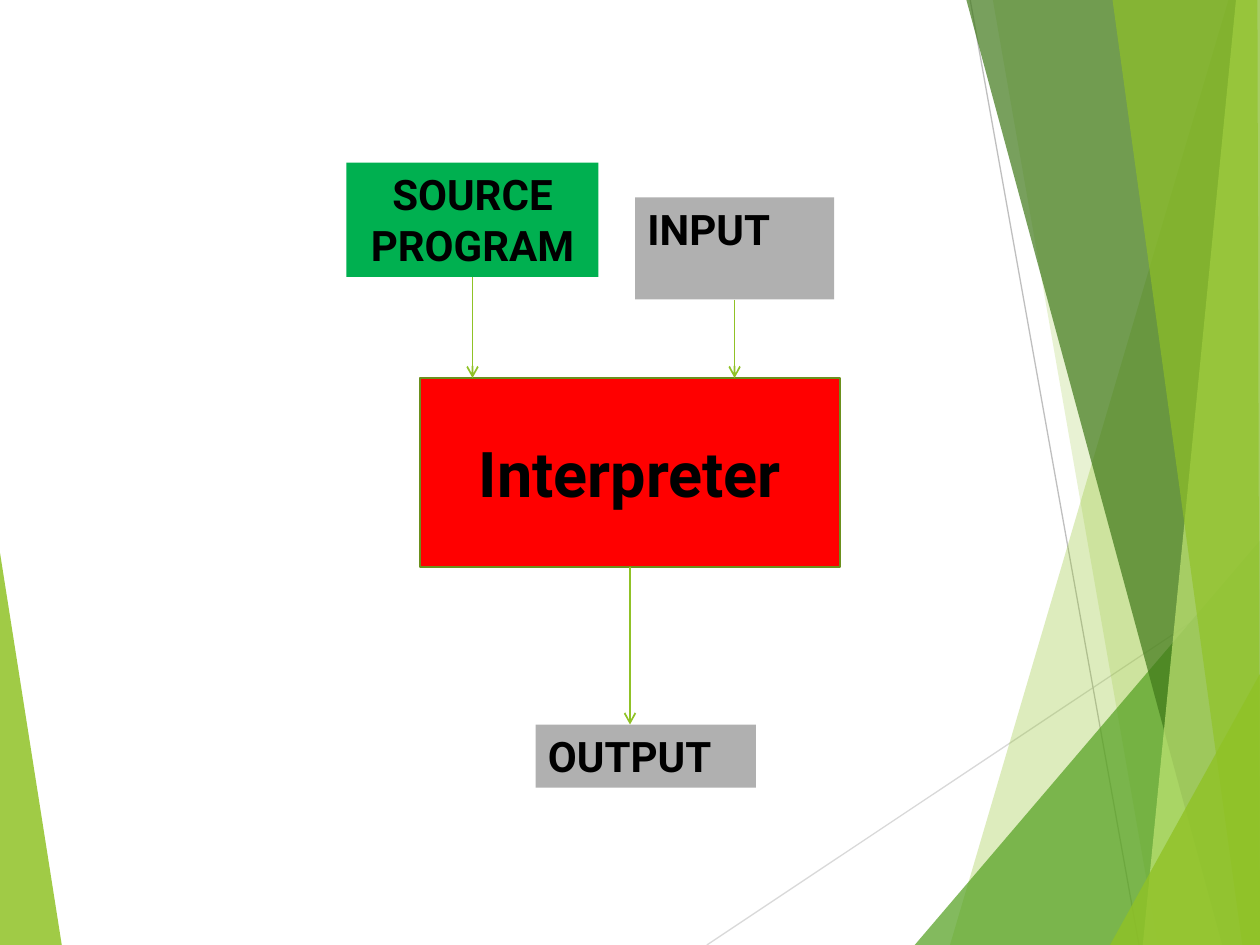
from lxml.etree import SubElement
from pptx import Presentation
from pptx.dml.color import RGBColor
from pptx.enum.shapes import MSO_CONNECTOR, MSO_SHAPE
from pptx.enum.text import MSO_ANCHOR, PP_ALIGN
from pptx.oxml.ns import qn
from pptx.util import Inches, Pt

HUES = {
    "lime": "90C226", "leaf": "54A021", "pine": "3F7819", "pale": "C0E474",
    "red": "FF0000", "rim": "6B901C", "green": "00B050", "gray": "B0B0B0",
    "ink": "000000", "mist": "D9D9D9", "ash": "BFBFBF",
}

deck = Presentation()
deck.slide_width, deck.slide_height = Inches(10), Inches(7.5)
slide = deck.slides.add_slide(deck.slide_layouts[6])
shapes = slide.shapes
ACROSS, DOWN = deck.slide_width / 100, deck.slide_height / 100


def spot(x, y):
    return round(x * ACROSS), round(y * DOWN)


def draw(start, end, hue, width):
    line = shapes.add_connector(MSO_CONNECTOR.STRAIGHT, *spot(*start), *spot(*end))
    line.line.color.rgb = RGBColor.from_string(HUES[hue])
    line.line.width = Pt(width)
    SubElement(line._element.spPr, qn("a:effectLst"))
    return line


# each facet: hue, opacity in percent, corners in percent of the slide
facets = [
    ("lime", 85, [(0, 58.5), (4.9, 100), (0, 100)]),
    ("lime", 30, [(97.5, 0), (75.4, 100), (100, 100), (100, 0)]),
    ("lime", 20, [(78.8, 0), (91.9, 100), (100, 100), (100, 0)]),
    ("leaf", 72, [(72.6, 100), (100, 57.2), (100, 100)]),
    ("pine", 70, [(76.7, 0), (97, 100), (100, 100), (100, 0)]),
    ("pale", 70, [(98.1, 0), (90.7, 100), (100, 100), (100, 0)]),
    ("lime", 65, [(88.3, 0), (98.6, 100), (100, 100), (99.8, 0)]),
    ("lime", 80, [(88.1, 100), (100, 71.3), (100, 100)]),
]
for place, (hue, share, corners) in enumerate(facets):
    if place == 1:
        draw((56.1, 100), (100, 61), "mist", 0.75)
        draw((77, 0), (90.4, 100), "ash", 0.75)
    first, *rest = [spot(*corner) for corner in corners]
    path = shapes.build_freeform(*first)
    path.add_line_segments(rest, close=True)
    facet = path.convert_to_shape()
    facet.shadow.inherit = False
    facet.fill.solid()
    facet.fill.fore_color.rgb = RGBColor.from_string(HUES[hue])
    facet.line.fill.background()
    tint = facet._element.spPr.find(qn("a:solidFill")).find(qn("a:srgbClr"))
    SubElement(tint, qn("a:alpha"), val=str(share * 1000))

MID, LEFT = PP_ALIGN.CENTER, PP_ALIGN.LEFT
blocks = [
    ("Interpreter", 33.33, 40, 33.33, 20, "red", 36, MID, MSO_ANCHOR.MIDDLE),
    ("SOURCE PROGRAM", 27.5, 17.2, 20, 12.1, "green", 24, MID, MSO_ANCHOR.TOP),
    ("INPUT", 50.4, 20.9, 15.8, 10.8, "gray", 24, LEFT, MSO_ANCHOR.TOP),
    ("OUTPUT", 42.5, 76.67, 17.5, 6.67, "gray", 24, LEFT, MSO_ANCHOR.TOP),
]
boxes = {}
for text, x, y, wide, high, hue, size, align, anchor in blocks:
    box = shapes.add_shape(MSO_SHAPE.RECTANGLE, *spot(x, y), *spot(wide, high))
    box.shadow.inherit = False
    box.fill.solid()
    box.fill.fore_color.rgb = RGBColor.from_string(HUES[hue])
    box.line.fill.background()
    frame = box.text_frame
    frame.word_wrap = True
    frame.vertical_anchor = anchor
    para = frame.paragraphs[0]
    para.alignment = align
    run = para.add_run()
    run.text = text
    run.font.name, run.font.size, run.font.bold = "Roboto", Pt(size), True
    run.font.color.rgb = RGBColor.from_string(HUES["ink"])
    boxes[text] = box

rim = boxes["Interpreter"].line
rim.color.rgb = RGBColor.from_string(HUES["rim"])
rim.width = Pt(1.5)

for name, start, end in [
    ("SOURCE PROGRAM", (37.5, 29.3), (37.5, 40)),
    ("INPUT", (58.3, 31.7), (58.3, 40)),
    ("Interpreter", (50, 60), (50, 76.67)),
]:
    arrow = draw(start, end, "lime", 1)
    arrow.begin_connect(boxes[name], 2)
    SubElement(arrow.line._get_or_add_ln(), qn("a:tailEnd"), type="arrow")

deck.save("out.pptx")
